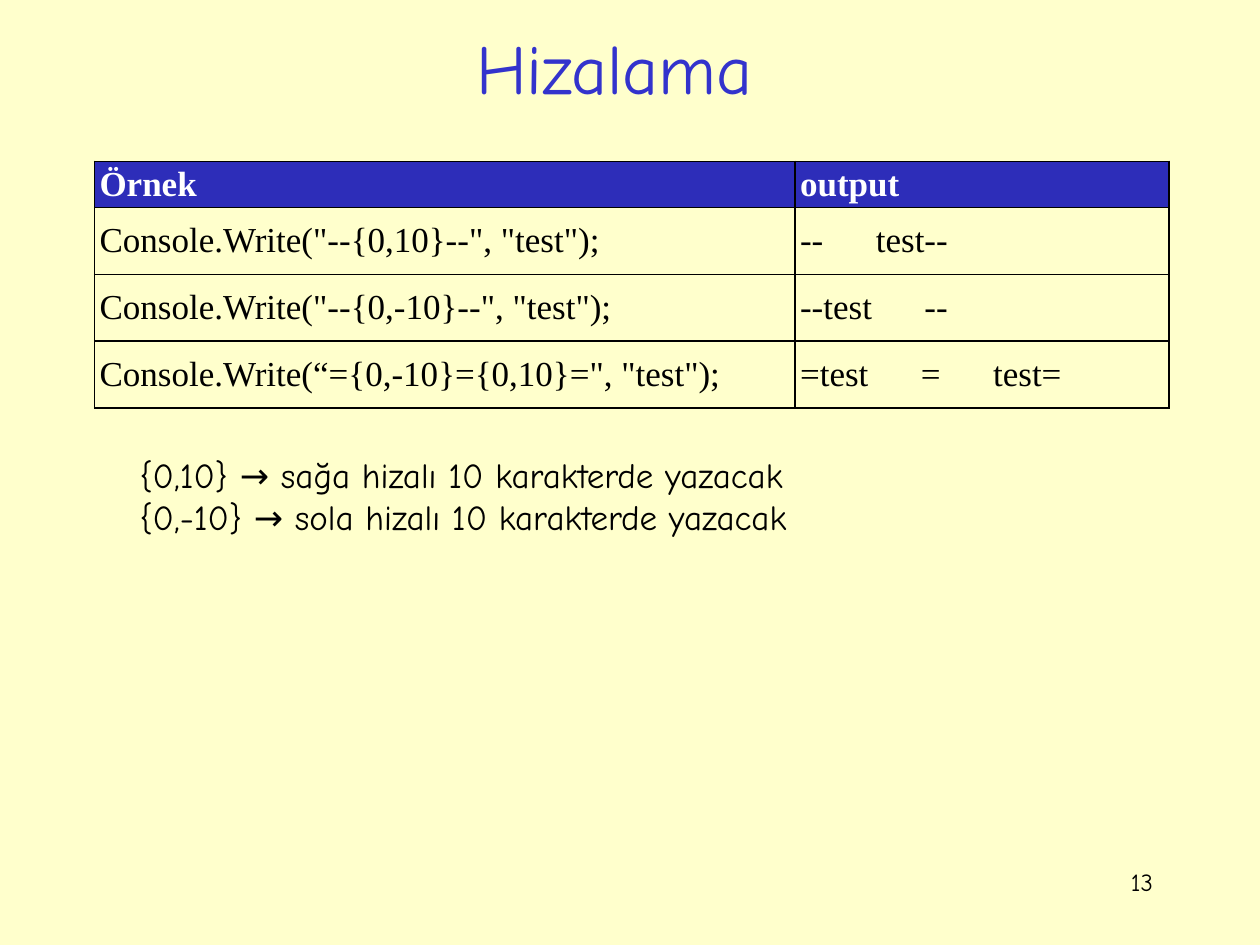
from dataclasses import dataclass

from lxml.etree import SubElement
from pptx import Presentation
from pptx.dml.color import RGBColor
from pptx.enum.text import MSO_ANCHOR, MSO_AUTO_SIZE, PP_ALIGN
from pptx.oxml.ns import qn
from pptx.util import Inches, Pt


@dataclass(frozen=True)
class Theme:
    background: RGBColor = RGBColor(0xFF, 0xFF, 0xCC)
    accent: RGBColor = RGBColor(0x33, 0x33, 0xCC)
    header: RGBColor = RGBColor(0x2D, 0x2D, 0xB9)
    ink: RGBColor = RGBColor(0, 0, 0)
    white: RGBColor = RGBColor(0xFF, 0xFF, 0xFF)
    heading_font: str = "Comic Neue"
    code_font: str = "Times New Roman"
    title_size: Pt = Pt(40)
    body_size: Pt = Pt(20)
    number_size: Pt = Pt(14)
    border: Pt = Pt(1)


THEME = Theme()
FIELD_WIDTH = 10
PAD = chr(160)  # no-break space fills the aligned fields
RIGHT = "test".rjust(FIELD_WIDTH, PAD)
LEFT = "test".ljust(FIELD_WIDTH, PAD)

EXAMPLES = [
    ("Örnek", "output"),
    ('Console.Write("--{0,10}--", "test");', f"--{RIGHT}--"),
    ('Console.Write("--{0,-10}--", "test");', f"--{LEFT}--"),
    ('Console.Write(“={0,-10}={0,10}=", "test");', f"={LEFT}={RIGHT}="),
]
NOTES = [
    "{0,10} → sağa hizalı 10 karakterde yazacak",
    "{0,-10} → sola hizalı 10 karakterde yazacak",
]


def apply(target, formats):
    for attribute, value in formats.items():
        setattr(target, attribute, value)


def write(frame, lines, size, color, font=THEME.heading_font, bold=False,
          align=PP_ALIGN.LEFT):
    """Fill a text frame with one formatted paragraph per line."""
    for index, line in enumerate(lines):
        paragraph = frame.add_paragraph() if index else frame.paragraphs[0]
        paragraph.alignment = align
        run = paragraph.add_run()
        run.text = line
        apply(run.font, {"name": font, "size": size, "bold": bold})
        run.font.color.rgb = color


def add_title(slide, box):
    title = slide.shapes.title
    apply(title, dict(zip(("left", "top", "width", "height"), box)))
    apply(title.text_frame, {"vertical_anchor": MSO_ANCHOR.MIDDLE,
                             "auto_size": MSO_AUTO_SIZE.NONE})
    write(title.text_frame, ["Hizalama "], THEME.title_size, THEME.accent,
          align=PP_ALIGN.CENTER)


def add_text(slide, box, lines, size, align=PP_ALIGN.LEFT):
    frame = slide.shapes.add_textbox(*box).text_frame
    frame.word_wrap = True
    write(frame, lines, size, THEME.ink, align=align)


def outline_cell(cell):
    """Draw the four borders; they must precede the cell fill."""
    properties = cell._tc.get_or_add_tcPr()
    for side in ("lnL", "lnR", "lnT", "lnB"):
        line = SubElement(properties, qn(f"a:{side}"), w=str(THEME.border))
        fill = SubElement(line, qn("a:solidFill"))
        SubElement(fill, qn("a:srgbClr"), val=str(THEME.ink))


def add_examples(slide, box):
    left, top, width, height = box
    table = slide.shapes.add_table(len(EXAMPLES), 2, *box).table
    # The code column takes 5.56 in, the output column the rest
    code_width = Inches(5.56)
    table.columns[0].width = code_width
    table.columns[1].width = width - code_width
    # A low header above equal example rows
    body_height = Inches(0.53)
    for index, row in enumerate(table.rows):
        row.height = body_height if index else height - 3 * body_height

    for row_index, texts in enumerate(EXAMPLES):
        is_header = row_index == 0
        for column_index, text in enumerate(texts):
            cell = table.cell(row_index, column_index)
            apply(cell, {"margin_left": Inches(0.04), "margin_right": Inches(0.04),
                         "margin_top": Inches(0.03), "margin_bottom": Inches(0.03),
                         "vertical_anchor": MSO_ANCHOR.MIDDLE})
            outline_cell(cell)
            if is_header:
                cell.fill.solid()
                cell.fill.fore_color.rgb = THEME.header
            else:
                cell.fill.background()
            write(cell.text_frame, [text], THEME.body_size,
                  THEME.white if is_header else THEME.ink,
                  font=THEME.code_font, bold=is_header)


def inches_box(*lengths):
    return tuple(Inches(length) for length in lengths)


def main():
    deck = Presentation()
    apply(deck, {"slide_width": Inches(10), "slide_height": Inches(7.5)})
    slide = deck.slides.add_slide(deck.slide_layouts[5])
    slide.background.fill.solid()
    slide.background.fill.fore_color.rgb = THEME.background

    add_title(slide, inches_box(0.72, 0.15, 8.5, 0.76))
    add_examples(slide, inches_box(0.75, 1.28, 8.53, 1.95))
    # Meaning of the two alignments
    add_text(slide, inches_box(1.01, 3.55, 7.87, 0.77), NOTES, THEME.body_size)
    # Slide number
    add_text(slide, inches_box(7.17, 6.83, 2.08, 0.5), ["13"],
             THEME.number_size, PP_ALIGN.RIGHT)
    deck.save("out.pptx")


if __name__ == "__main__":
    main()
